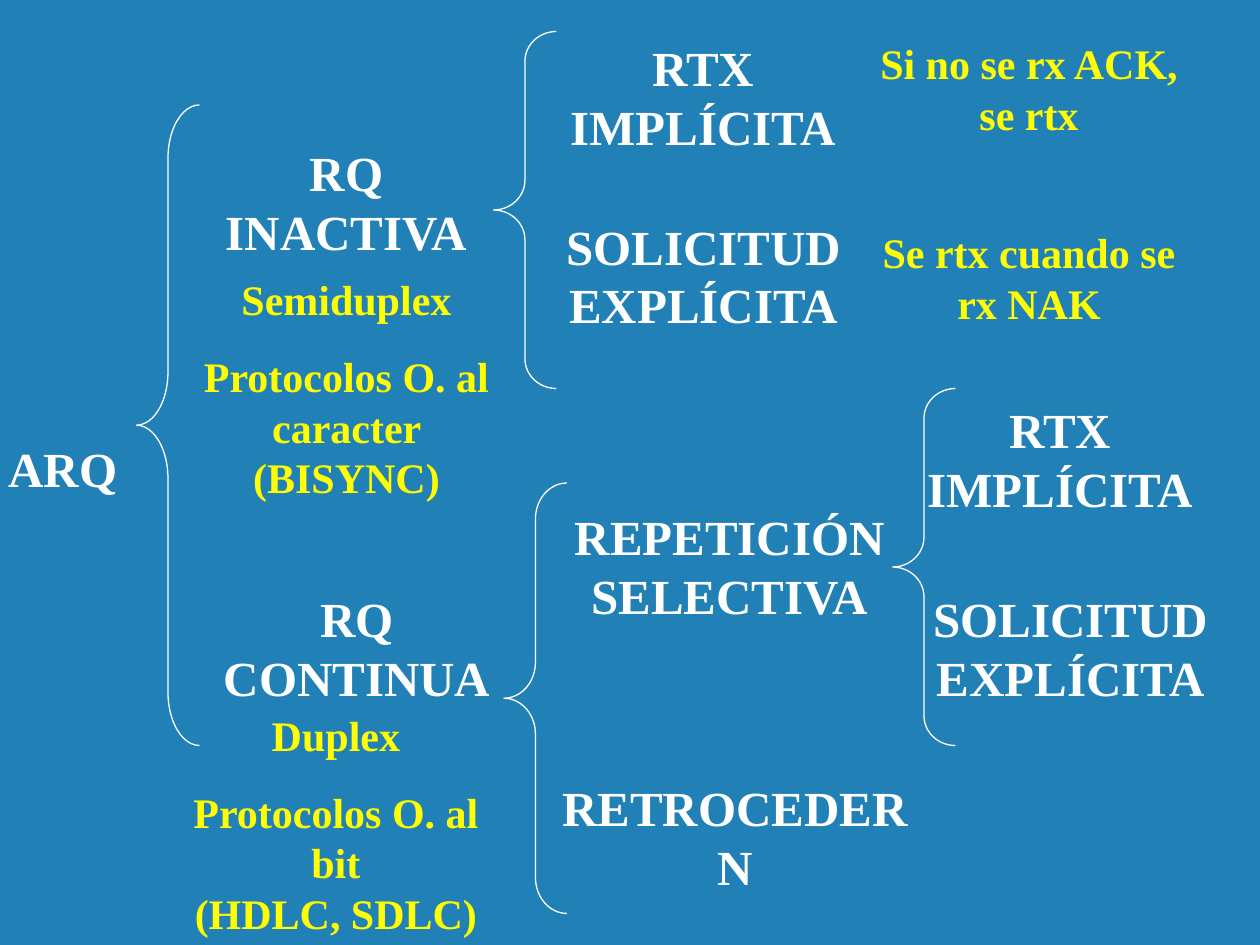
import pptx
import pptx.dml.color
import pptx.enum.shapes
import pptx.enum.text
import pptx.util

Pt = pptx.util.Pt
RGBColor = pptx.dml.color.RGBColor

BLUE = RGBColor(0x21, 0x81, 0xB7)
WHITE = RGBColor(0xFF, 0xFF, 0xFF)
YELLOW = RGBColor(0xFF, 0xFF, 0x00)
FONT = "Times New Roman"

# Content: left, top, width, height in points, then the paragraphs
TERMS = [
    (-18, 247, 108, 41, ["ARQ"]),
    (108, 78, 180, 75, ["RQ INACTIVA"]),
    (114, 333, 180, 75, ["RQ CONTINUA"]),
    (312, 18, 180, 75, ["RTX IMPLÍCITA"]),
    (312, 120, 180, 75, ["SOLICITUD EXPLÍCITA"]),
    (318, 286, 198, 75, ["REPETICIÓN SELECTIVA"]),
    (312, 441, 216, 75, ["RETROCEDER N"]),
    (516, 225, 180, 75, ["RTX IMPLÍCITA"]),
    (522, 333, 180, 75, ["SOLICITUD EXPLÍCITA"]),
]
NOTES = [
    (108, 153, 180, 137.5, ["Semiduplex", "Protocolos O. al caracter (BISYNC)"]),
    (492, 18, 192, 65, ["Si no se rx ACK, se rtx"]),
    (492, 126, 192, 65, ["Se rtx cuando se rx NAK"]),
    (102, 402, 180, 137.5, ["Duplex", "Protocolos O. al bit\v(HDLC, SDLC)"]),
]
# Braces: left, top, height
BRACES = [(282, 18, 204), (288, 276, 246), (78, 60, 366), (510, 222, 204)]
BRACE_WIDTH = 36


def add_label(slide, label, size, color):
    left, top, width, height, lines = label
    box = slide.shapes.add_textbox(Pt(left), Pt(top), Pt(width), Pt(height))
    frame = box.text_frame
    frame.word_wrap = True
    frame.auto_size = pptx.enum.text.MSO_AUTO_SIZE.SHAPE_TO_FIT_TEXT
    for index, line in enumerate(lines):
        para = frame.add_paragraph() if index else frame.paragraphs[0]
        para.text = line
        para.alignment = pptx.enum.text.PP_ALIGN.CENTER
        if index:
            para.space_before = Pt(15)
        para.font.name = FONT
        para.font.size = Pt(size)
        para.font.bold = True
        para.font.color.rgb = color


def add_brace(slide, left, top, height):
    brace = slide.shapes.add_shape(
        pptx.enum.shapes.MSO_SHAPE.LEFT_BRACE,
        Pt(left), Pt(top), Pt(BRACE_WIDTH), Pt(height))
    # Each curve takes a twelfth of the height
    brace.adjustments[0] = height / 12 / BRACE_WIDTH
    brace.shadow.inherit = False
    brace.fill.background()
    brace.line.color.rgb = WHITE
    brace.line.width = Pt(0.75)


def main():
    deck = pptx.Presentation()
    deck.slide_width, deck.slide_height = Pt(720), Pt(540)
    slide = deck.slides.add_slide(deck.slide_layouts[6])
    slide.background.fill.solid()
    slide.background.fill.fore_color.rgb = BLUE

    # Labels
    for labels, size, color in ((TERMS, 28, WHITE), (NOTES, 24, YELLOW)):
        for label in labels:
            add_label(slide, label, size, color)

    # Braces
    for brace in BRACES:
        add_brace(slide, *brace)

    deck.save("out.pptx")


if __name__ == "__main__":
    main()
